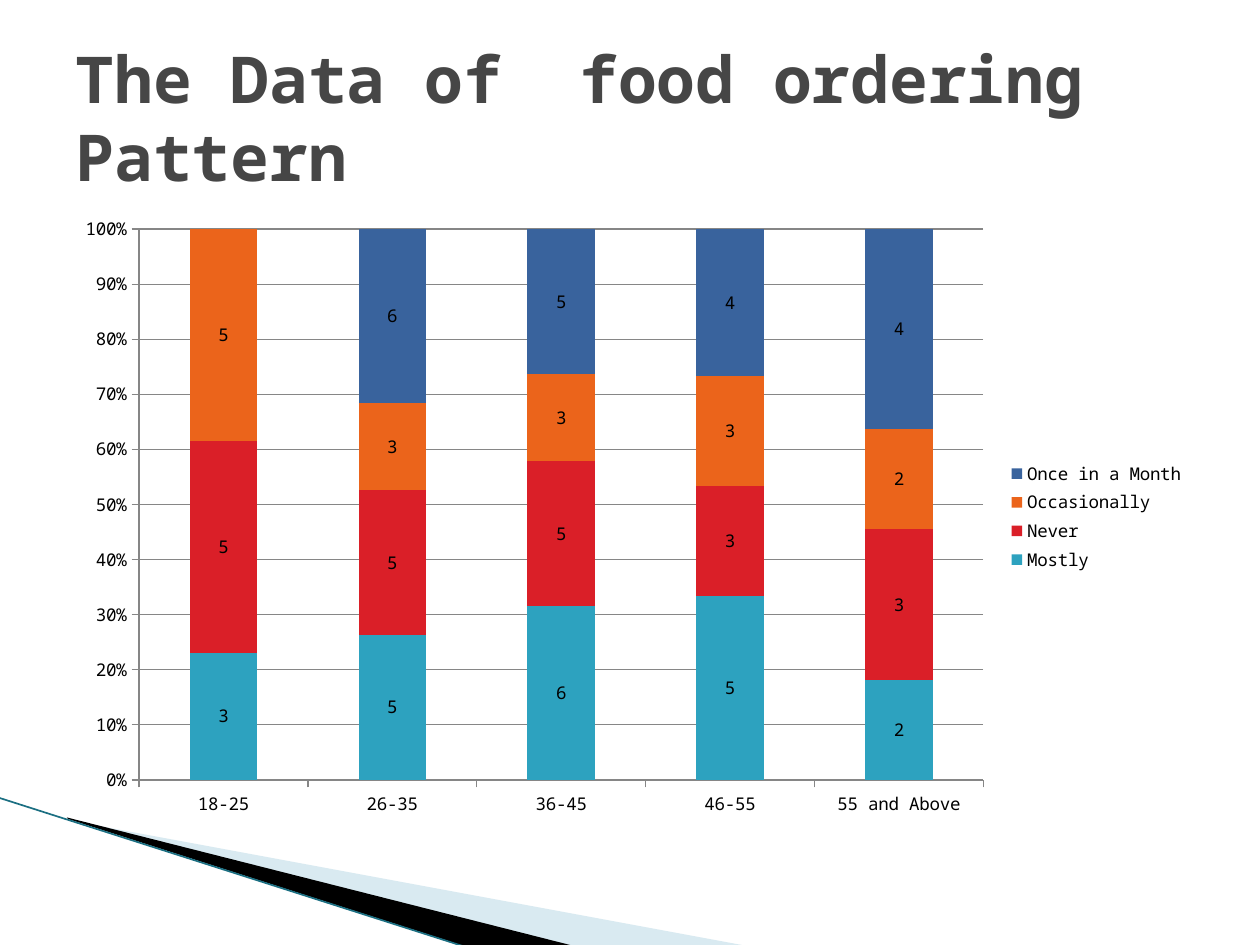
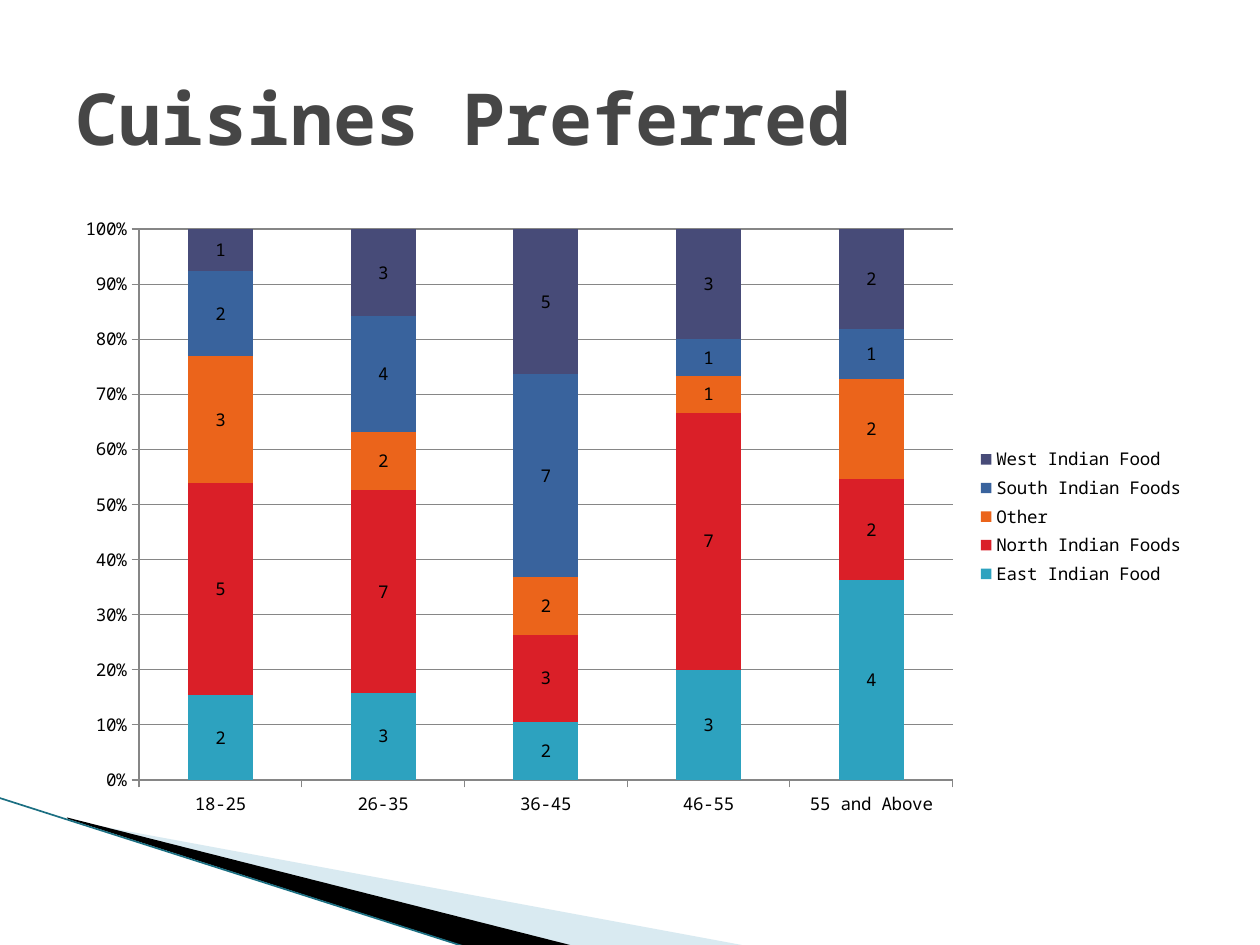
from lxml import etree
from pptx import Presentation
from pptx import util as u
from pptx.chart.data import CategoryChartData
from pptx.dml.color import RGBColor
from pptx.enum import chart as ch, shapes, text
from pptx.oxml.ns import qn

# Content
AGE_GROUPS = ["18-25", "26-35", "36-45", "46-55", "55 and Above"]
SURVEY = [
    {"title": "The Data of  food ordering Pattern", "title_size": 36.9,
     "answers": {"Mostly": [3, 5, 6, 5, 2],
                 "Never": [5, 5, 5, 3, 3],
                 "Occasionally": [5, 3, 3, 3, 2],
                 "Once in a Month": [None, 6, 5, 4, 4]}},
    {"title": "Cuisines Preferred", "title_size": 41,
     "answers": {"East Indian Food": [2, 3, 2, 3, 4],
                 "North Indian Foods": [5, 7, 3, 7, 2],
                 "Other": [3, 2, 2, 1, 2],
                 "South Indian Foods": [2, 4, 7, 1, 1],
                 "West Indian Food": [1, 3, 5, 3, 2]}},
]

# Shared style, lengths in cm
COLOURS = {"title": "464646", "text": "000000", "grid": "868686",
           "pale": "A0CBDC", "dark": "000000", "edge": "1B6F82"}
SERIES_COLOURS = ["2DA2BF", "DA1F28", "EB641B", "39639D", "474B78"]
FONT = "Noto Sans Mono"
WIDTH, HEIGHT, MARGIN = 25.4, 19.05, 1.27
TITLE_BOX = (MARGIN, 0.76, WIDTH - 2 * MARGIN, 3.18)
CHART_BOX = (MARGIN, 4.13, WIDTH - 2 * MARGIN, 12.57)
# Each wedge has a frame, and corners that may reach beyond it
PALE_FRAME = (1.98, 13.89, 10.57, 4.01)
PALE_WEDGE = [(1.4, 16.54), (15.11, 19.08), (11.58, 19.08), (1.4, 16.51)]
DARK_FRAME = (-0.15, 16.08, 10.57, 2.34)
DARK_WEDGE = [(1.35, 16.48), (11.61, 19.08), (9.45, 19.1), (1.37, 16.51)]
EDGE = (-0.03, 16.08, 9.42, 19.1)


def rgb(name):
    return RGBColor.from_string(COLOURS.get(name, name))


def cms(values):
    return [u.Cm(value) for value in values]


def style_font(font, size, colour, bold=False):
    font.name, font.size, font.bold = FONT, u.Pt(size), bold
    font.color.rgb = rgb(colour)


def write(frame, words, *, size, colour, bold=False, align=text.PP_ALIGN.LEFT):
    frame.word_wrap = True
    frame.auto_size = text.MSO_AUTO_SIZE.NONE
    frame.vertical_anchor = text.MSO_ANCHOR.MIDDLE
    paragraph = frame.paragraphs[0]
    paragraph.alignment = align
    run = paragraph.add_run()
    run.text = words
    style_font(run.font, size, colour, bold)


def reframe(wedge, frame):
    """Give the wedge a new frame while its corners stay in place."""
    left, top, width, height = cms(frame)
    shift = {"x": wedge.left - left, "y": wedge.top - top}
    outline = wedge.element.spPr.find(".//" + qn("a:path"))
    outline.set("w", str(width))
    outline.set("h", str(height))
    for point in outline.iter(qn("a:pt")):
        for axis, distance in shift.items():
            point.set(axis, str(int(point.get(axis)) + distance))
    wedge.left, wedge.top, wedge.width, wedge.height = left, top, width, height


def add_wedge(slide, corners, frame, colour, opacity=100):
    start, *others = [cms(corner) for corner in corners]
    builder = slide.shapes.build_freeform(*start, scale=1.0)
    builder.add_line_segments(others, close=True)
    wedge = builder.convert_to_shape()
    reframe(wedge, frame)
    wedge.shadow.inherit = False
    wedge.line.fill.background()
    wedge.fill.solid()
    wedge.fill.fore_color.rgb = rgb(colour)
    if opacity < 100:
        srgb = wedge.element.spPr.find(".//" + qn("a:srgbClr"))
        etree.SubElement(srgb, qn("a:alpha")).set("val", str(opacity * 1000))
    return wedge


def add_edge(slide):
    edge = slide.shapes.add_connector(shapes.MSO_CONNECTOR.STRAIGHT, *cms(EDGE))
    edge.line.color.rgb = rgb("edge")
    edge.line.width = u.Pt(0.95)
    etree.SubElement(edge.element.spPr, qn("a:effectLst"))
    return edge


def decorate_layout(layout, slide):
    """Build the corner band on a slide, then move it to the layout."""
    band = [add_wedge(slide, PALE_WEDGE, PALE_FRAME, "pale", opacity=40),
            add_wedge(slide, DARK_WEDGE, DARK_FRAME, "dark"),
            add_edge(slide)]
    for number, part in enumerate(band, start=20):
        part.element.find(".//" + qn("p:cNvPr")).set("id", str(number))
        layout.shapes.element.append(part.element)


def add_title(slide, words, size):
    title = slide.shapes.title
    title.left, title.top, title.width, title.height = cms(TITLE_BOX)
    write(title.text_frame, words, size=size, colour="title", bold=True)


def add_answers(slide, answers):
    data = CategoryChartData()
    data.categories = AGE_GROUPS
    for answer, counts in answers.items():
        data.add_series(answer, counts)
    chart = slide.shapes.add_chart(ch.XL_CHART_TYPE.COLUMN_STACKED_100,
                                   *cms(CHART_BOX), data).chart
    style_font(chart.font, 10, "text")
    chart.has_title = False

    # Legend and axes
    chart.has_legend = True
    chart.legend.position = ch.XL_LEGEND_POSITION.RIGHT
    chart.legend.include_in_layout = False
    shares = chart.value_axis
    shares.has_major_gridlines = True
    shares.major_unit = 0.1
    shares.tick_labels.number_format = "0%"
    shares.tick_labels.number_format_is_linked = False
    for axis in (shares, chart.category_axis):
        axis.major_tick_mark = ch.XL_TICK_MARK.OUTSIDE
    for line in (shares.format.line, chart.category_axis.format.line,
                 shares.major_gridlines.format.line):
        line.color.rgb = rgb("grid")
        line.width = u.Pt(0.75)

    # Columns with counts
    plot = chart.plots[0]
    plot.gap_width, plot.overlap, plot.vary_by_categories = 150, 100, False
    for series, colour in zip(plot.series, SERIES_COLOURS):
        series.format.fill.solid()
        series.format.fill.fore_color.rgb = rgb(colour)
        series.data_labels.show_value = True


def main():
    deck = Presentation()
    deck.slide_width, deck.slide_height = cms((WIDTH, HEIGHT))
    layout = deck.slide_layouts.get_by_name("Title Only")
    for question in SURVEY:
        slide = deck.slides.add_slide(layout)
        if len(deck.slides) == 1:
            decorate_layout(layout, slide)
        add_title(slide, question["title"], question["title_size"])
        add_answers(slide, question["answers"])
    deck.save("out.pptx")


if __name__ == "__main__":
    main()
